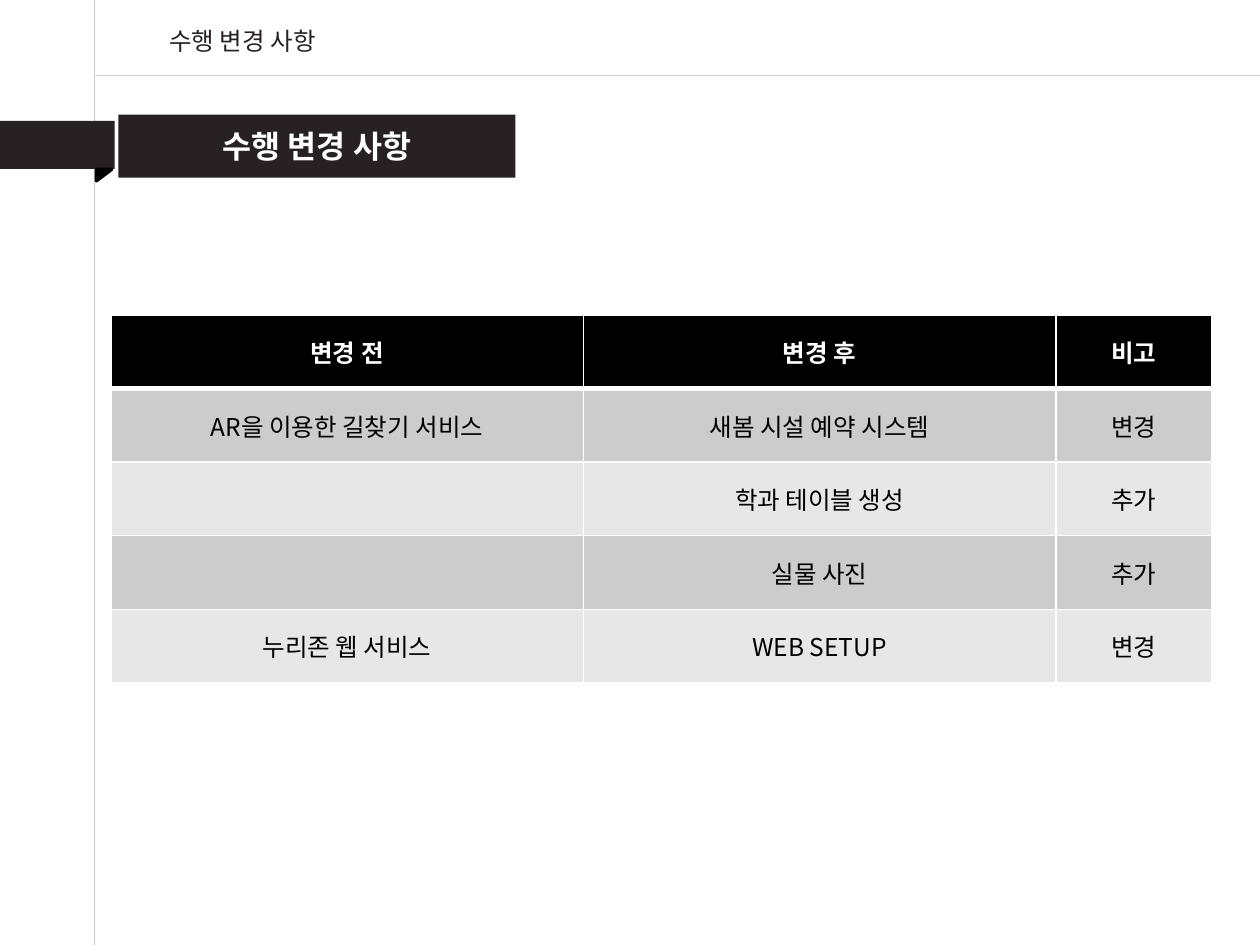
from lxml.etree import SubElement
from pptx import Presentation
from pptx.dml.color import RGBColor
from pptx.enum.shapes import MSO_CONNECTOR as Connector, MSO_SHAPE as Shape
from pptx.enum.text import MSO_ANCHOR as Anchor, PP_ALIGN as Align
from pptx.oxml.ns import qn
from pptx.util import Inches, Pt

INK = RGBColor(0x27, 0x21, 0x23)
BLACK = RGBColor(0, 0, 0)
WHITE = RGBColor(255, 255, 255)
RULE_GRAY = RGBColor(0xA6, 0xA6, 0xA6)
BANDS = [RGBColor(0xCC, 0xCC, 0xCC), RGBColor(0xE7, 0xE7, 0xE7)]
FONT = "Noto Sans CJK KR"
HEADING = "수행 변경 사항"

deck = Presentation()
deck.slide_width, deck.slide_height = Inches(10), Inches(7.5)
page = deck.slides.add_slide(deck.slide_layouts[5])


def write(frame, text, size, color, bold=False):
    frame.vertical_anchor = Anchor.MIDDLE
    para = frame.paragraphs[0]
    para.alignment = Align.CENTER
    span = para.add_run()
    span.text = text
    span.font.size, span.font.bold, span.font.name = Pt(size), bold, FONT
    span.font.color.rgb = color
    SubElement(span.font._element, qn("a:ea"), typeface=FONT)


def add_block(kind, left, top, width, height, color):
    block = page.shapes.add_shape(
        kind, Inches(left), Inches(top), Inches(width), Inches(height))
    block.shadow.inherit = False
    block.fill.solid()
    block.fill.fore_color.rgb = color
    block.line.fill.background()
    return block


# Half-transparent guide lines
for x1, y1, x2, y2 in [(0.75, 0, 0.75, 7.5), (0.76, 0.6, 10, 0.6)]:
    rule = page.shapes.add_connector(
        Connector.STRAIGHT, Inches(x1), Inches(y1), Inches(x2), Inches(y2))
    rule.line.width = Pt(0.75)
    rule.line.color.rgb = RULE_GRAY
    color_node = rule.line._ln.find(".//" + qn("a:srgbClr"))
    SubElement(color_node, qn("a:alpha"), val="50000")
    SubElement(rule._element.spPr, qn("a:effectLst"))

# Page title
title = page.shapes.title
title.left, title.top = Inches(1.14), Inches(0.15)
title.width, title.height = Inches(1.57), Inches(0.34)
title.text_frame.word_wrap = False
write(title.text_frame, HEADING, 14, INK)

# Ribbon with its fold and section heading
add_block(Shape.RECTANGLE, 0, 0.96, 0.91, 0.38, INK)
fold = add_block(Shape.RIGHT_TRIANGLE, 0.78, 1.33, 0.09, 0.12, BLACK)
fold.rotation = 90
fold.line.color.rgb = BLACK
fold.line.width = Pt(2)
banner = add_block(Shape.RECTANGLE, 0.94, 0.91, 3.15, 0.5, INK)
write(banner.text_frame, HEADING, 18, WHITE, bold=True)

# Table of changes
changes = [
    ("변경 전", "변경 후", "비고"),
    ("AR을 이용한 길찾기 서비스", "새봄 시설 예약 시스템", "변경"),
    ("", "학과 테이블 생성", "추가"),
    ("", "실물 사진", "추가"),
    ("누리존 웹 서비스", "WEB SETUP", "변경"),
]
table = page.shapes.add_table(
    len(changes), 3, Inches(0.88), Inches(2.5), Inches(8.74), Inches(2.92)).table
for column, width in zip(table.columns, (3.75, 3.75, 1.24)):
    column.width = Inches(width)

for r, texts in enumerate(changes):
    header = r == 0
    for c, text in enumerate(texts):
        cell = table.cell(r, c)
        if text:
            write(cell.text_frame, text, 14, WHITE if header else BLACK, header)
            cell.vertical_anchor = Anchor.MIDDLE
        # White borders, thicker under the header; they precede the fill
        properties = cell._tc.get_or_add_tcPr()
        for side in ("L", "R", "T", "B"):
            thick = (r, side) in [(0, "B"), (1, "T")]
            edge = SubElement(properties, qn("a:ln" + side),
                              w=str(Pt(3 if thick else 1)))
            fill = SubElement(edge, qn("a:solidFill"))
            SubElement(fill, qn("a:srgbClr"), val=str(WHITE))
        cell.fill.solid()
        cell.fill.fore_color.rgb = BLACK if header else BANDS[(r - 1) % 2]

deck.save("out.pptx")
